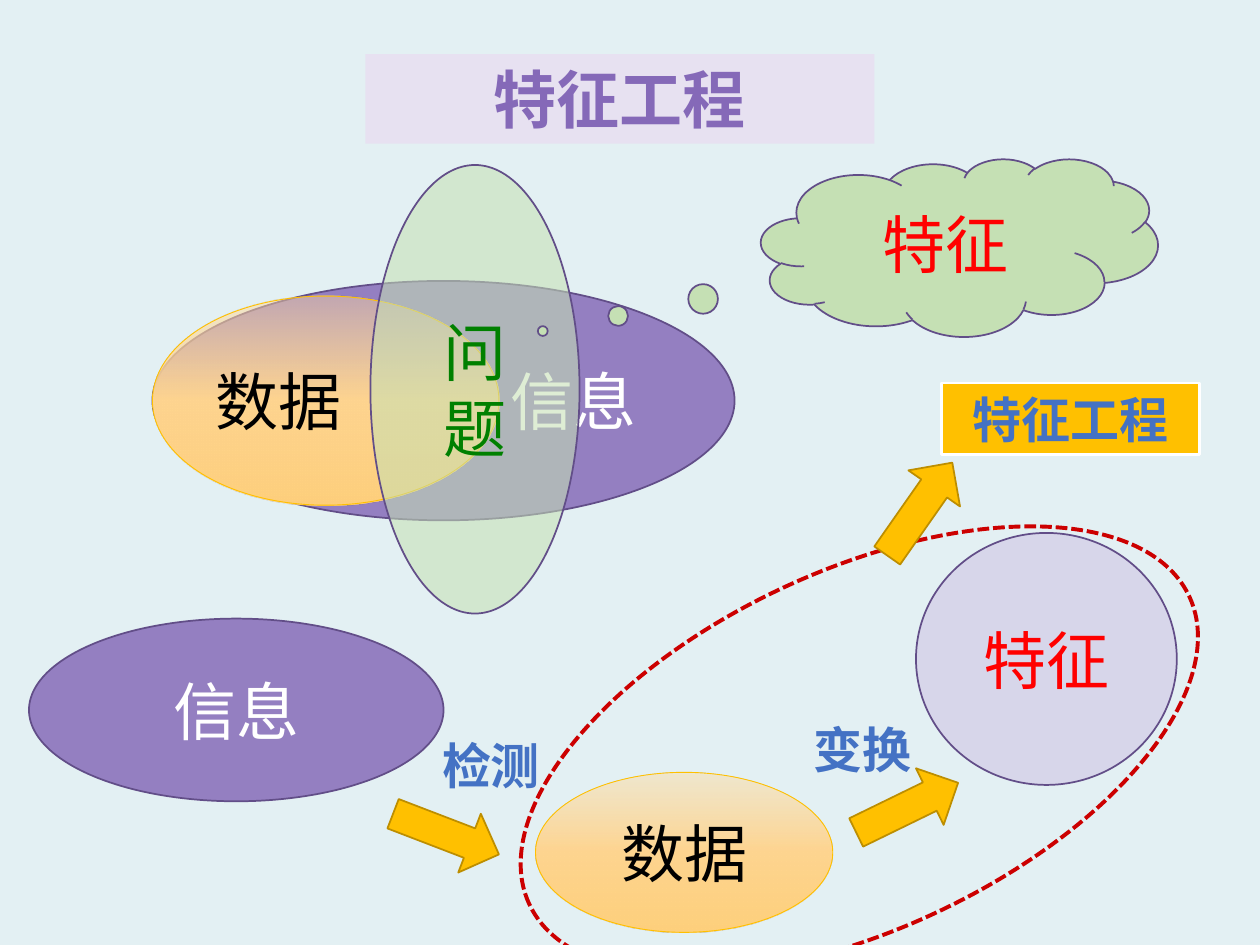
"""Build the feature engineering slide: data, information, problem and features."""
from dataclasses import dataclass
from typing import Optional

from lxml import etree
from pptx import Presentation
from pptx.dml.color import RGBColor
from pptx.enum import dml, shapes, text
from pptx.oxml import ns
from pptx.util import Emu, Inches, Pt

WIDTH, HEIGHT = Inches(10), Inches(7.5)
CELL_X, CELL_Y = WIDTH / 100, HEIGHT / 75
ELLIPSE = shapes.MSO_SHAPE.OVAL
RECTANGLE = shapes.MSO_SHAPE.RECTANGLE
CENTER, LEFT, RIGHT = text.PP_ALIGN.CENTER, text.PP_ALIGN.LEFT, text.PP_ALIGN.RIGHT
HEADING_FONT, BODY_FONT = "Noto Sans CJK SC", "Arial"
PURPLE, PLUM, GREEN, GOLD, BLUE = "8569B8", "624E88", "C5E0B4", "FFC000", "4472C4"
WHITE, BLACK, RED = "FFFFFF", "000000", "FF0000"


@dataclass(frozen=True)
class Area:
    """Position and size in columns and rows of a 100 by 75 grid."""
    column: float
    row: float
    columns: float
    rows: float

    def emu(self) -> tuple[Emu, ...]:
        """Return left, top, width and height as slide lengths."""
        return (Emu(round(self.column * CELL_X)), Emu(round(self.row * CELL_Y)),
                Emu(round(self.columns * CELL_X)), Emu(round(self.rows * CELL_Y)))


@dataclass(frozen=True)
class Look:
    """Fill and outline; a gradient holds (position, colour, opacity) stops."""
    fill: Optional[str] = None
    opacity: int = 100
    gradient: tuple = ()
    line: Optional[str] = None
    weight: float = 1
    dashed: bool = False


@dataclass(frozen=True)
class Label:
    """Wording and text format."""
    words: str
    color: str
    size: int = 36
    align: text.PP_ALIGN = CENTER
    heading: bool = False
    outlined: bool = False


@dataclass(frozen=True)
class Figure:
    """One shape of the diagram."""
    area: Area
    look: Look
    label: Optional[Label] = None
    kind: shapes.MSO_SHAPE = ELLIPSE
    rotation: float = 0
    adjustments: tuple = ()


INFORMATION = Look(PURPLE, 83, line=PLUM)
DATA = Look(gradient=((0, "FFDB9E", 43), (50, "FFD590", 100), (100, "FFD07C", 100)),
            line=GOLD, weight=0.5)
ARROW = Look(GOLD, line="BD8E00")
FEATURE = Label("特征", RED)


def arrow(column: float, row: float, rotation: float) -> Figure:
    """Describe a block arrow of the common size."""
    return Figure(Area(column, row, 9, 5), ARROW, None, shapes.MSO_SHAPE.RIGHT_ARROW, rotation)


def step(words: str, align: text.PP_ALIGN = LEFT) -> Label:
    """Describe the bold blue name of a processing step."""
    return Label(words, BLUE, 28, align, True, True)


FIGURES = (
    Figure(Area(29, 4.3, 40.4, 7.1), Look("E7E1F1"),
           Label("特征工程", PURPLE, heading=True), RECTANGLE),
    Figure(Area(12.1, 22.3, 46.2, 19), INFORMATION, Label("信息", WHITE, align=RIGHT)),
    Figure(Area(12.1, 23.5, 27.5, 16.6), DATA, Label("数据", BLACK, align=LEFT)),
    Figure(Area(29.4, 13.1, 16.6, 35.6), Look(GREEN, 56, line=PLUM), Label("问题", "008000")),
    Figure(Area(60.4, 12.6, 31.5, 14.1), Look(GREEN, line=PLUM), FEATURE,
           shapes.MSO_SHAPE.CLOUD_CALLOUT, adjustments=(-1.05, 0.47)),
    Figure(Area(2.3, 49.1, 32.9, 14.5), INFORMATION, Label("信息", WHITE)),
    Figure(Area(42.5, 61.3, 23.6, 12.7), DATA, Label("数据", BLACK)),
    Figure(Area(72.7, 42.3, 20.7, 20), Look("CEC3E3", 56, line=PLUM), FEATURE),
    arrow(30.9, 63.7, 21),
    arrow(67.5, 61.6, 334),
    Figure(Area(34.1, 57.9, 11.1, 5.7), Look(), step("检测"), None),
    Figure(Area(63.6, 56.6, 11.1, 5.7), Look(), step("变换"), None),
    Figure(Area(39.3, 45.3, 57.8, 28.5), Look(line="CC0000", weight=2.25, dashed=True),
           rotation=335),
    Figure(Area(74.7, 30.4, 20.5, 5.7), Look(GOLD, line=WHITE, weight=1.5),
           step("特征工程", CENTER), RECTANGLE),
    arrow(68.5, 37.9, 305),
)


def rgb(color: str) -> RGBColor:
    """Turn a hex string into a colour."""
    return RGBColor.from_string(color)


def add_child(parent, tag: str, **attributes):
    """Append a drawing element."""
    values = {name: str(value) for name, value in attributes.items()}
    return etree.SubElement(parent, ns.qn(tag), values)


def add_color(parent, color: str, opacity: int = 100) -> None:
    """Append a colour with its opacity in percent."""
    value = add_child(parent, "a:srgbClr", val=color)
    if opacity < 100:
        add_child(value, "a:alpha", val=opacity * 1000)


def paint(shape, look: Look) -> None:
    """Apply fill and outline."""
    if look.gradient:
        shape.fill.gradient()
        stops = shape._element.spPr.find(ns.qn("a:gradFill")).find(ns.qn("a:gsLst"))
        for stop in list(stops):
            stops.remove(stop)
        for position, color, opacity in look.gradient:
            add_color(add_child(stops, "a:gs", pos=position * 1000), color, opacity)
        shape.fill.gradient_angle = 270
    elif look.fill:
        shape.fill.solid()
        shape.fill.fore_color.rgb = rgb(look.fill)
        if look.opacity < 100:
            value = shape._element.spPr.find(ns.qn("a:solidFill"))[0]
            add_child(value, "a:alpha", val=look.opacity * 1000)
    else:
        shape.fill.background()
    if look.line:
        shape.line.color.rgb = rgb(look.line)
        shape.line.width = Pt(look.weight)
        if look.dashed:
            shape.line.dash_style = dml.MSO_LINE.SQUARE_DOT
    else:
        shape.line.fill.background()


def write(shape, label: Label) -> None:
    """Write and format the label of a shape."""
    frame = shape.text_frame
    frame.text = label.words
    frame.word_wrap = True
    frame.vertical_anchor = text.MSO_ANCHOR.TOP if label.heading else text.MSO_ANCHOR.MIDDLE
    if label.heading:
        frame.auto_size = text.MSO_AUTO_SIZE.SHAPE_TO_FIT_TEXT
    para = frame.paragraphs[0]
    para.alignment = label.align
    span = para.runs[0]
    font = span.font
    font.size = Pt(label.size)
    font.bold = label.heading
    font.color.rgb = rgb(label.color)
    font.name = HEADING_FONT if label.heading else BODY_FONT
    properties = span._r.get_or_add_rPr()
    add_child(properties, "a:ea", typeface=font.name)
    if label.outlined:
        outline = add_child(properties, "a:ln", w=Pt(0.75))
        add_color(add_child(outline, "a:solidFill"), WHITE)
        properties.insert(0, outline)


def draw(page, figure: Figure) -> None:
    """Draw one figure on the page."""
    if figure.kind is None:
        shape = page.shapes.add_textbox(*figure.area.emu())
    else:
        shape = page.shapes.add_shape(figure.kind, *figure.area.emu())
        shape.shadow.inherit = False
    shape.rotation = figure.rotation
    for index, value in enumerate(figure.adjustments):
        shape.adjustments[index] = value
    paint(shape, figure.look)
    if figure.label:
        write(shape, figure.label)


def main() -> None:
    """Build and save the deck."""
    deck = Presentation()
    deck.slide_width, deck.slide_height = WIDTH, HEIGHT
    page = deck.slides.add_slide(deck.slide_layouts[6])
    page.background.fill.solid()
    page.background.fill.fore_color.rgb = rgb("E3F0F3")
    for figure in FIGURES:
        draw(page, figure)
    deck.save("out.pptx")


if __name__ == "__main__":
    main()
